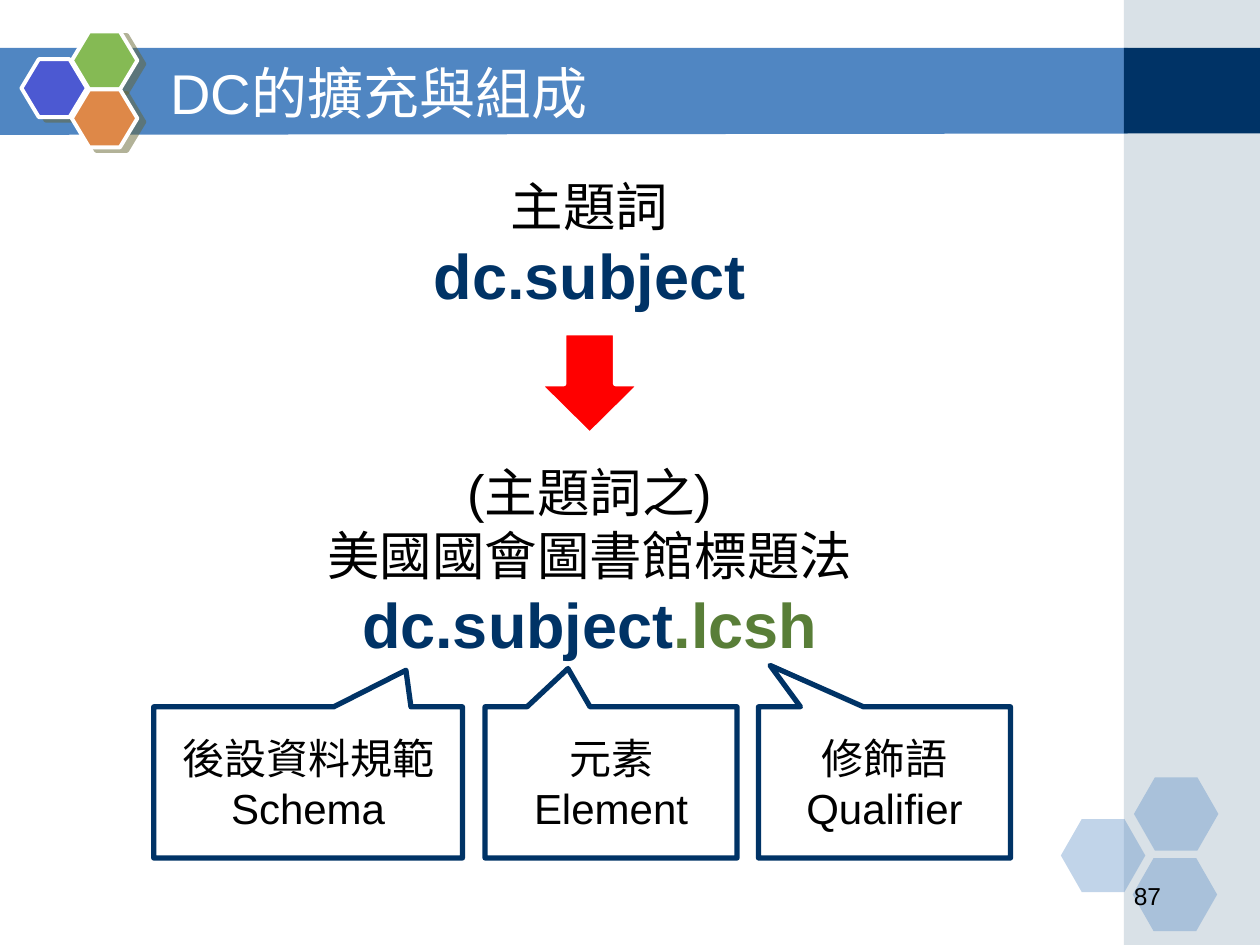
from lxml import etree
from pptx import Presentation
from pptx.dml.color import RGBColor
from pptx.enum.shapes import MSO_SHAPE
from pptx.enum.text import MSO_ANCHOR, MSO_AUTO_SIZE, PP_ALIGN
from pptx.oxml.ns import qn
from pptx.util import Inches, Pt

RECTANGLE = MSO_SHAPE.RECTANGLE
HEXAGON = MSO_SHAPE.HEXAGON
DOWN_ARROW = MSO_SHAPE.DOWN_ARROW
CALLOUT = MSO_SHAPE.ROUNDED_RECTANGULAR_CALLOUT
TOP, MIDDLE = MSO_ANCHOR.TOP, MSO_ANCHOR.MIDDLE
LEFT, CENTER = PP_ALIGN.LEFT, PP_ALIGN.CENTER
NO_AUTOFIT = MSO_AUTO_SIZE.NONE

COLORS = {
    "band": "5086C2",
    "navy": "003366",
    "side": "A0B5C4",
    "violet": "4C59D2",
    "green": "85BA54",
    "orange": "DE8848",
    "shadow": "666633",
    "qualifier": "597E38",
    "red": "FF0000",
    "white": "FFFFFF",
    "black": "000000",
}
BODY = {"size": 30, "color": "black"}
TERM = {"size": 36, "color": "navy", "bold": True}
SUFFIX = {**TERM, "color": "qualifier"}
LABEL = {"size": 24, "color": "black"}


def rgb(name):
    return RGBColor.from_string(COLORS[name])


def paint(shape, fill, line=None, width=0, alpha=None):
    shape.shadow.inherit = False
    shape.fill.solid()
    shape.fill.fore_color.rgb = rgb(fill)
    if alpha is not None:
        color = shape.element.spPr.find(qn("a:solidFill"))[0]
        etree.SubElement(color, qn("a:alpha"), val=str(alpha * 1000))
    if line:
        shape.line.color.rgb = rgb(line)
        shape.line.width = Pt(width)
    else:
        shape.line.fill.background()


def add_preset(page, kind, place, adjustments=(), **look):
    shape = page.shapes.add_shape(kind, *map(Inches, place))
    for index, value in enumerate(adjustments):
        shape.adjustments[index] = value
    paint(shape, **look)
    return shape


def add_hard_shadow(shape):
    effects = shape.element.spPr.find(qn("a:effectLst"))
    shadow = etree.SubElement(
        effects, qn("a:outerShdw"), dist=str(Pt(4.5)),
        dir=str(27 * 60000), algn="ctr", rotWithShape="0")
    color = etree.SubElement(shadow, qn("a:srgbClr"), val=COLORS["shadow"])
    etree.SubElement(color, qn("a:alpha"), val="50000")


def write_text(shape, lines, align=CENTER, anchor=MIDDLE, margin_y=0.1):
    frame = shape.text_frame
    settings = {
        "word_wrap": True, "auto_size": NO_AUTOFIT, "vertical_anchor": anchor,
        "margin_left": Inches(0.1), "margin_right": Inches(0.1),
        "margin_top": Inches(margin_y), "margin_bottom": Inches(margin_y),
    }
    for name, value in settings.items():
        setattr(frame, name, value)
    for index, spans in enumerate(lines):
        para = frame.add_paragraph() if index else frame.paragraphs[0]
        para.alignment = align
        for text, style in spans:
            span = para.add_run()
            span.text = text
            span.font.color.rgb = rgb(style["color"])
            values = {"name": "Arial", "size": Pt(style["size"]),
                      "bold": style.get("bold", False)}
            for name, value in values.items():
                setattr(span.font, name, value)


def add_text(page, place, lines, **layout):
    box = page.shapes.add_textbox(*map(Inches, place))
    write_text(box, lines, **layout)


def add_background(page):
    builder = page.shapes.build_freeform(Inches(-0.01), Inches(0.38))
    corners = [(8.95, 0.38), (8.95, 1.06), (-0.01, 1.07)]
    builder.add_line_segments([(Inches(x), Inches(y)) for x, y in corners])
    paint(builder.convert_to_shape(), "band")
    add_preset(page, RECTANGLE, (8.92, 0, 1.08, 7.5), fill="side", alpha=40)
    add_preset(page, RECTANGLE, (8.92, 0.38, 1.08, 0.68), fill="navy")
    for left, top in [(8.42, 6.5), (9, 6.17), (8.99, 6.81)]:
        add_preset(page, HEXAGON, (left, top, 0.67, 0.58), [0.286, 1.155],
                   fill="band", alpha=35)
    for left, top, fill in [(0.17, 0.47, "violet"), (0.57, 0.25, "green"),
                            (0.57, 0.71, "orange")]:
        cell = add_preset(page, HEXAGON, (left, top, 0.52, 0.46), [0.3, 1.155],
                          fill=fill, line="white", width=2.25)
        add_hard_shadow(cell)


def add_title(page, text):
    title = page.shapes.title
    title.element.getparent().append(title.element)
    place = {"left": 1.25, "top": 0.42, "width": 7.33, "height": 0.62}
    for name, value in place.items():
        setattr(title, name, Inches(value))
    write_text(title, [[(text, {"size": 32, "color": "white"})]], align=LEFT)


def add_callout(page, left, width, tip, lines):
    callout = add_preset(page, CALLOUT, (left, 5.61, width, 1.2), (*tip, 0),
                         fill="white", line="navy", width=3)
    write_text(callout, [[(line, LABEL)] for line in lines])


def main():
    deck = Presentation()
    deck.slide_width, deck.slide_height = Inches(10), Inches(7.5)
    page = deck.slides.add_slide(deck.slide_layouts[5])
    add_background(page)
    add_title(page, "DC的擴充與組成")
    add_text(page, (8.9, 6.98, 0.82, 0.25),
             [[("87", {"size": 14, "color": "black"})]],
             align=LEFT, margin_y=0.05)
    add_text(page, (0.5, 3.55, 8.36, 0.85),
             [[("(主題詞之)", BODY)], [("美國國會圖書館標題法", BODY)],
              [("dc.subject", TERM), (".lcsh", SUFFIX)]], anchor=TOP)
    add_text(page, (0.5, 1.28, 8.36, 0.85),
             [[("主題詞", BODY)], [("dc.subject", TERM)]], anchor=TOP)
    add_preset(page, DOWN_ARROW, (4.27, 2.64, 0.82, 0.81), [0.5, 0.5],
               fill="red", line="white", width=3)
    callouts = [
        (1.22, 2.45, (0.317, -0.742), ("後設資料規範", "Schema")),
        (3.85, 2, (-0.171, -0.753), ("元素", "Element")),
        (6.02, 2, (-0.454, -0.774), ("修飾語", "Qualifier")),
    ]
    for callout in callouts:
        add_callout(page, *callout)
    deck.save("out.pptx")


if __name__ == "__main__":
    main()
